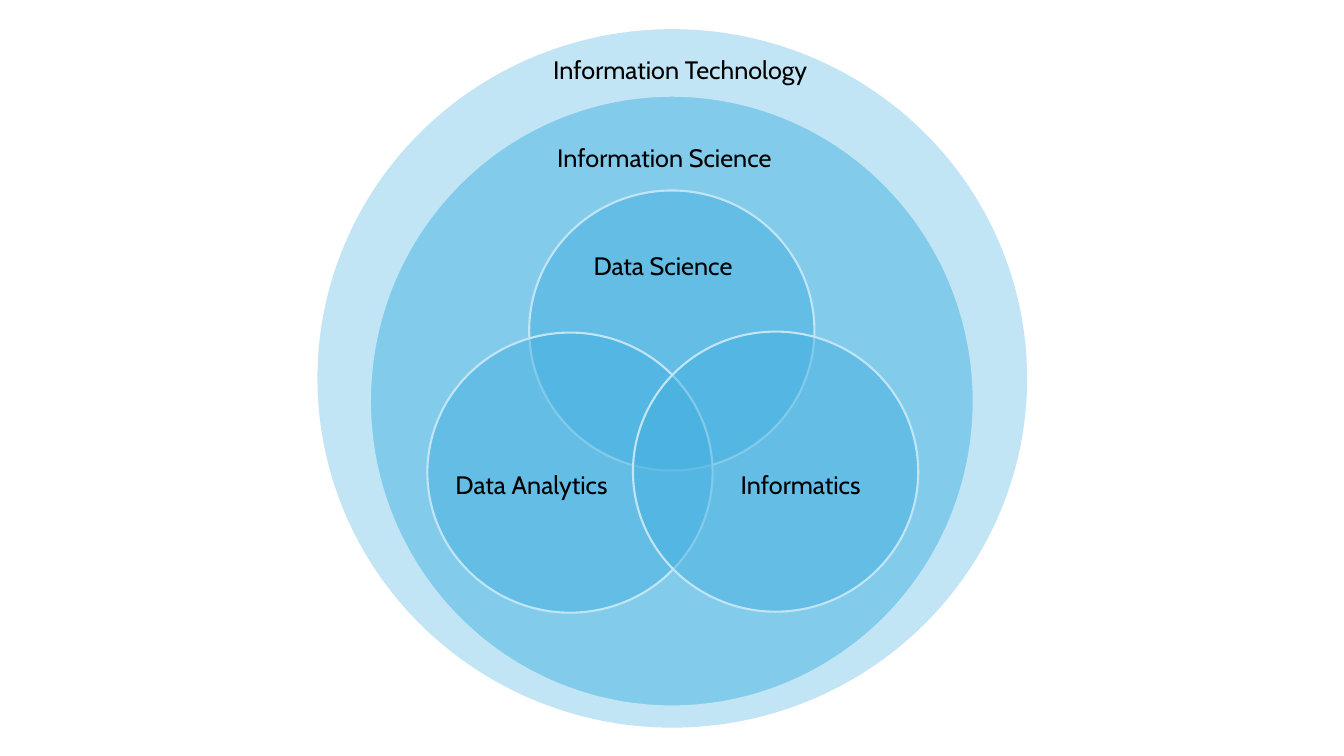
from pptx import Presentation
from pptx.dml.color import RGBColor
from pptx.enum.shapes import MSO_SHAPE as Shape
from pptx.enum.text import MSO_AUTO_SIZE as AutoSize
from pptx.oxml.ns import qn
from pptx.util import Inches, Pt
from lxml.etree import SubElement

COLORS = {"pale": "C1E5F5", "sky": "83CBEB", "blue": "46B1E1", "ink": "000000"}
FONT = "Cabin"
COLUMNS = 40
SLIDE_W, SLIDE_H = Inches(13.33), Inches(7.5)
CELL = SLIDE_W / COLUMNS
LABEL_H = 1.2
FIELD_W, FIELD_H = 8.49, 8.34


def cells(*lengths):
    """Turn lengths in grid cells into slide units."""
    return [round(length * CELL) for length in lengths]


def color(name):
    """Look up a palette colour."""
    return RGBColor.from_string(COLORS[name])


def add_circle(slide, box, fill, opacity=100):
    """Fill the box with an outlined ellipse."""
    circle = slide.shapes.add_shape(Shape.OVAL, *cells(*box))
    circle.shadow.inherit = False
    circle.fill.solid()
    circle.fill.fore_color.rgb = color(fill)
    circle.line.color.rgb = color("pale")
    circle.line.width = Pt(1.5)
    if opacity < 100:
        tint = circle.fill._xPr.find(qn("a:solidFill"))[0]
        SubElement(tint, qn("a:alpha")).set("val", str(opacity * 1000))


def add_label(slide, box, text, dx, dy, width):
    """Write a label offset from the top left of the box."""
    left, top = box[:2]
    label = slide.shapes.add_textbox(*cells(left + dx, top + dy, width, LABEL_H))
    frame = label.text_frame
    frame.word_wrap = True
    frame.auto_size = AutoSize.SHAPE_TO_FIT_TEXT
    frame.text = text
    font = frame.paragraphs[0].runs[0].font
    font.name, font.size = FONT, Pt(18)
    font.color.rgb = color("ink")


def add_discipline(slide, box, fill, label):
    """Draw an enclosing discipline with its label near the top."""
    add_circle(slide, box, fill)
    add_label(slide, box, *label)


def add_fields(slide, box):
    """Draw three overlapping translucent fields, then their labels."""
    left, top, width, height = box
    right, bottom = width - FIELD_W, height - FIELD_H
    fields = [
        (3.03, 0, ("Data Science", 1.62, 1.62, 5.25)),
        (0, bottom, ("Data Analytics", 0.54, 3.93, 5.64)),
        (right, bottom - 0.03, ("Informatics", 2.91, 3.96, 4.59)),
    ]
    placed = [((left + dx, top + dy, FIELD_W, FIELD_H), label)
              for dx, dy, label in fields]
    for field, _ in placed:
        add_circle(slide, field, "blue", opacity=50)
    for field, label in placed:
        add_label(slide, field, *label)


def main():
    """Build the nested disciplines slide."""
    deck = Presentation()
    deck.slide_width, deck.slide_height = SLIDE_W, SLIDE_H
    slide = deck.slides.add_slide(deck.slide_layouts[6])
    add_discipline(slide, (9.48, 0.9, 21.06, 20.73), "pale",
                   ("Information Technology", 6.69, 0.57, 8.58))
    add_discipline(slide, (11.01, 2.85, 17.97, 18.18), "sky",
                   ("Information Science", 5.28, 1.23, 7.41))
    add_fields(slide, (12.72, 5.67, 14.61, 12.57))
    deck.save("out.pptx")


if __name__ == "__main__":
    main()
